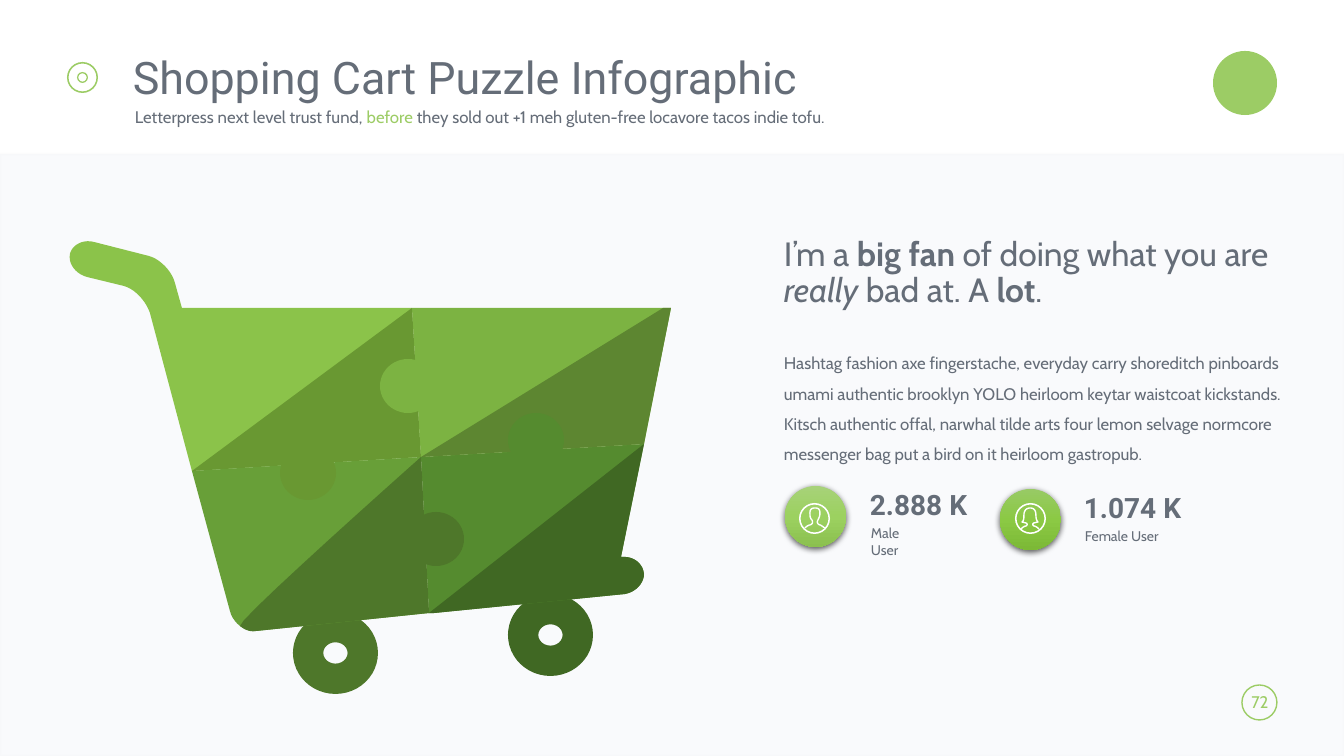
"""Build the shopping cart puzzle infographic slide."""
import copy

import pptx
import pptx.dml.color
import pptx.enum.shapes
import pptx.enum.text
import pptx.oxml
import pptx.oxml.ns
import pptx.util

PX = 914400 / 100.8
GREEN, GREY, WHITE = "9CCC65", "656D78", "FFFFFF"
qn = pptx.oxml.ns.qn
rgb = pptx.dml.color.RGBColor.from_string
preset = pptx.enum.shapes.MSO_SHAPE
align = pptx.enum.text.PP_ALIGN

deck = pptx.Presentation()
deck.slide_width, deck.slide_height = round(1344 * PX), round(756 * PX)
slide = deck.slides.add_slide(deck.slide_layouts[6])
shapes = slide.shapes


def paint(shape, fill=None, line=None, width=1):
    """Give a shape a plain fill and line without a shadow."""
    shape.shadow.inherit = False
    if fill:
        shape.fill.solid()
        shape.fill.fore_color.rgb = rgb(fill)
    else:
        shape.fill.background()
    if line:
        shape.line.color.rgb = rgb(line)
        shape.line.width = pptx.util.Pt(width)
    else:
        shape.line.fill.background()
    return shape


def write(text, box, size, font="Cabin", color=GREY, bold=False, spacing=1.0,
          place=align.LEFT, wrap=True, inset=True):
    """Add a text box; text is a string or a list of (string, format) runs."""
    frame = shapes.add_textbox(*[round(v * PX) for v in box]).text_frame
    frame.word_wrap = wrap
    if not inset:
        frame.margin_left = frame.margin_right = 0
        frame.margin_top = frame.margin_bottom = 0
    paragraph = frame.paragraphs[0]
    paragraph.alignment = place
    paragraph.line_spacing = spacing
    for words, style in [(text, {})] if isinstance(text, str) else text:
        run = paragraph.add_run()
        run.text = words
        run.font.name = font
        run.font.size = pptx.util.Pt(size)
        run.font.bold = style.get("bold", bold)
        run.font.italic = style.get("italic", False)
        run.font.color.rgb = rgb(style.get("color", color))


emblem = shapes.add_shape(preset.OVAL, *[round(v * PX) for v in (1213, 51, 64, 64)])
paint(emblem, GREEN)

panel = shapes.add_shape(preset.RECTANGLE, *[round(v * PX) for v in (0, 154, 1344, 602)])
paint(panel, "7B8DB3", "EBEBEB", 2)
for tint, alpha in zip(panel._element.spPr.iter(qn("a:srgbClr")), (4000, 10000)):
    tint.append(pptx.oxml.parse_xml(
        f'<a:alpha {pptx.oxml.ns.nsdecls("a")} val="{alpha}"/>'))

page_ring = shapes.add_shape(
    preset.ROUNDED_RECTANGLE, *[round(v * PX) for v in (1242, 685, 35, 35)])
page_ring.adjustments[0] = 0.5
paint(page_ring, line=GREEN)

badges = [
    (785, 486, ("A7D279", "9CD160", "8BC04F")),
    (1000, 489, ("98CA65", "8BC944", "7CB936")),
]
for left, top, shades in badges:
    badge = shapes.add_shape(preset.OVAL, *[round(v * PX) for v in (left, top, 61, 61)])
    paint(badge)
    badge.fill.gradient()
    badge.fill.gradient_angle = 270
    stops = badge._element.spPr.find(".//" + qn("a:gsLst"))
    stops.insert(1, copy.deepcopy(stops[0]))
    for stop, shade, position in zip(badge.fill.gradient_stops, shades, (0, 0.5, 1)):
        stop.color.rgb = rgb(shade)
        stop.position = position
    badge._element.spPr.find(qn("a:effectLst")).append(pptx.oxml.parse_xml(
        f'<a:outerShdw {pptx.oxml.ns.nsdecls("a")} blurRad="57150" dist="19050" '
        'dir="5400000" algn="t" rotWithShape="0">'
        '<a:srgbClr val="000000"><a:alpha val="63000"/></a:srgbClr></a:outerShdw>'))

rings = [
    ((67, 62, 31, 31), 0.05, GREEN),
    ((77, 72, 11, 11), 0.12, GREEN),
    ((293, 612, 85, 82), 0.37, "4E772A"),
    ((508, 594, 85, 82), 0.37, "406823"),
    ((799, 503, 31, 31), 0.05, WHITE),
    ((1015, 503, 31, 31), 0.05, WHITE),
]
for box, thickness, color in rings:
    ring = shapes.add_shape(preset.DONUT, *[round(v * PX) for v in box])
    ring.adjustments[0] = thickness
    paint(ring, color)

bumper = [(429, 613), (434, 613), (625, 594), (636, 592, 644, 583, 644, 574),
          (643, 563, 633, 556, 622, 557)]
handle = [(182, 308), (175, 283), (172, 271, 160, 259, 149, 256), (94, 242),
          (83, 239, 72, 245, 70, 254), (68, 264, 76, 274, 87, 277), (124, 286),
          (135, 289, 146, 301, 150, 313)]
male = [(6, 25), (8, 23, 10, 22, 11, 22), (14, 21, 14, 19, 13, 17),
        (11, 15, 11, 13, 11, 10), (11, 6, 13, 5, 16, 5), (19, 5, 21, 6, 21, 10),
        (21, 13, 20, 15, 19, 17), (18, 19, 18, 21, 21, 22), (22, 22, 24, 24, 26, 25)]
female = [(6, 26), (8, 24, 10, 23, 11, 23), (13, 22, 12, 20, 11, 20), (7, 19),
          (9, 18, 9, 14, 9, 12), (9, 7, 12, 5, 15, 5), (19, 5, 21, 7, 21, 13),
          (21, 16, 22, 18, 23, 19), (19, 20), (18, 20, 17, 22, 19, 23),
          (20, 23, 22, 24, 24, 26)]
outlines = [
    ("558B2F", 0, 0, [(621, 557), (644, 444), (421, 457), *bumper]),
    ("406823", 0, 0, [(621, 557), (644, 444), *bumper]),
    ("7CB342", 0, 0, [(644, 444), (671, 308), (412, 308), (421, 457)]),
    ("5D8631", 0, 0, [(644, 444), (671, 308), (663, 308), (421, 457)]),
    ("8BC34A", 0, 0, [(421, 457), (412, 308), *handle, (192, 471)]),
    ("699832", 0, 0, [(192, 471), (421, 457), (412, 308)]),
    ("689F38", 0, 0, [(192, 471), (230, 611), (233, 623, 245, 632, 256, 631),
                      (429, 613), (421, 457)]),
    ("4E772A", 0, 0, [(240, 626), (245, 630, 250, 632, 256, 631), (429, 613),
                      (421, 457), (421, 457, 235, 622, 240, 626)]),
    (None, 799, 503, male),
    (None, 1015, 503, female),
]
for fill, left, top, edges in outlines:
    points = [edges[0]]
    for edge in edges[1:]:
        if len(edge) == 2:
            points.append(edge)
            continue
        corners = [points[-1], edge[:2], edge[2:4], edge[4:]]
        for t in [step / 10 for step in range(1, 11)]:
            weights = ((1 - t) ** 3, 3 * t * (1 - t) ** 2, 3 * t * t * (1 - t), t ** 3)
            points.append(tuple(sum(w * c[axis] for w, c in zip(weights, corners))
                                for axis in (0, 1)))
    points = [(round((x + left) * PX), round((y + top) * PX)) for x, y in points]
    builder = shapes.build_freeform(*points[0])
    builder.add_line_segments(points[1:], close=bool(fill))
    paint(builder.convert_to_shape(), fill, None if fill else WHITE)

knobs = [(408, 512, "4E772A"), (508, 413, "558B2F"),
         (380, 359, "7CB342"), (280, 446, "699832")]
for left, top, color in knobs:
    knob = shapes.add_shape(preset.OVAL, *[round(v * PX) for v in (left, top, 56, 54)])
    paint(knob, color)

write("72", (1241, 687, 38, 30), 12, color=GREEN, place=align.CENTER, wrap=False)
write("Shopping Cart Puzzle Infographic", (123, 51, 1015, 53), 32, font="Roboto", spacing=0.9)
write([("Letterpress next level trust fund, ", {}), ("before", {"color": GREEN}),
       (" they sold out +1 meh gluten-free locavore tacos indie tofu.", {})],
      (125, 104, 1013, 29), 12, spacing=0.9)
write([("I’m a ", {}), ("big fan ", {"bold": True}), ("of doing what you are ", {}),
       ("really", {"italic": True}), (" bad at. A ", {}), ("lot", {"bold": True}), (".", {})],
      (774, 232, 550, 84), 24, spacing=0.9)
write("Hashtag fashion axe fingerstache, everyday carry shoreditch pinboards umami "
      "authentic brooklyn YOLO heirloom keytar waistcoat kickstands. Kitsch authentic "
      "offal, narwhal tilde arts four lemon selvage normcore messenger bag put a bird on "
      "it heirloom gastropub.", (774, 338, 536, 132), 12, spacing=1.5)

users = [("2.888 K", "Male User", 860, 483, 58), ("1.074 K", "Female User", 1074, 486, 80)]
for count, label, left, top, label_width in users:
    write(count, (left, top, 120, 44), 20, font="Roboto", bold=True)
    write(label, (left + 11, top + 42, label_width, 17), 10, inset=False)

deck.save("out.pptx")
